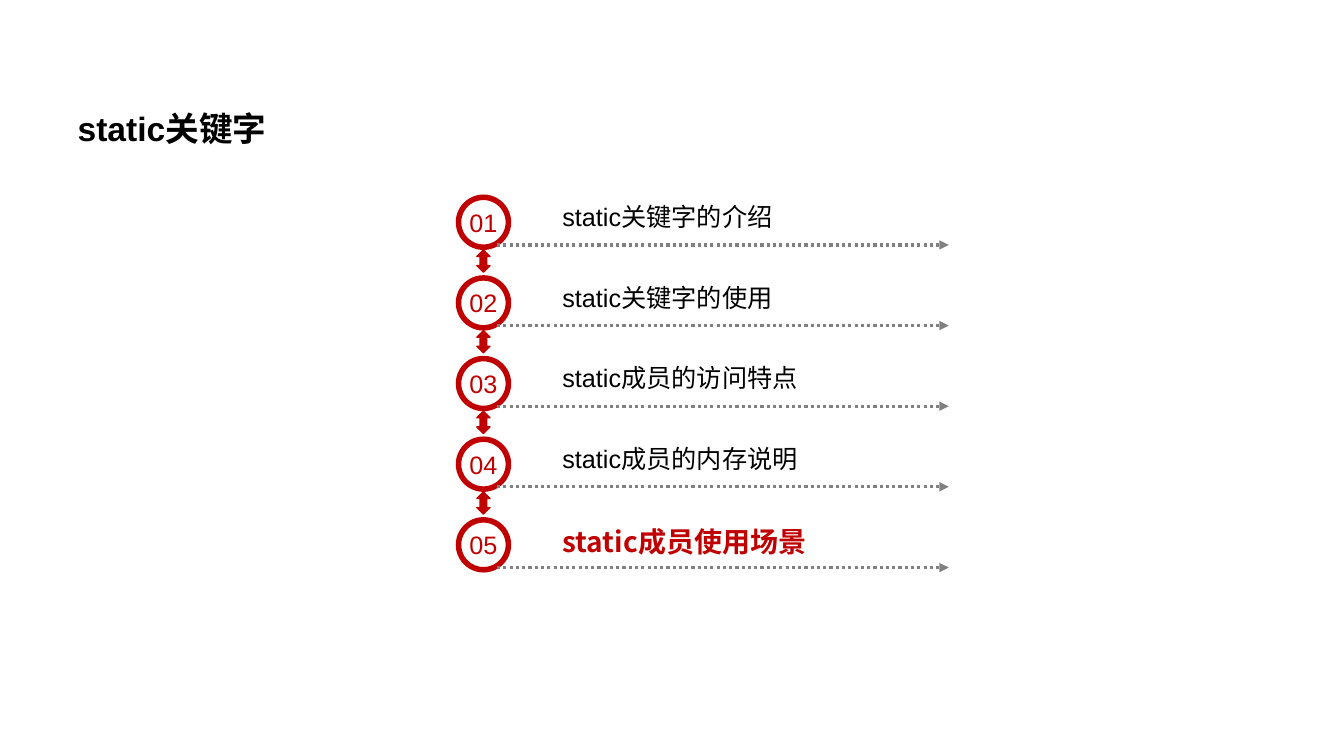
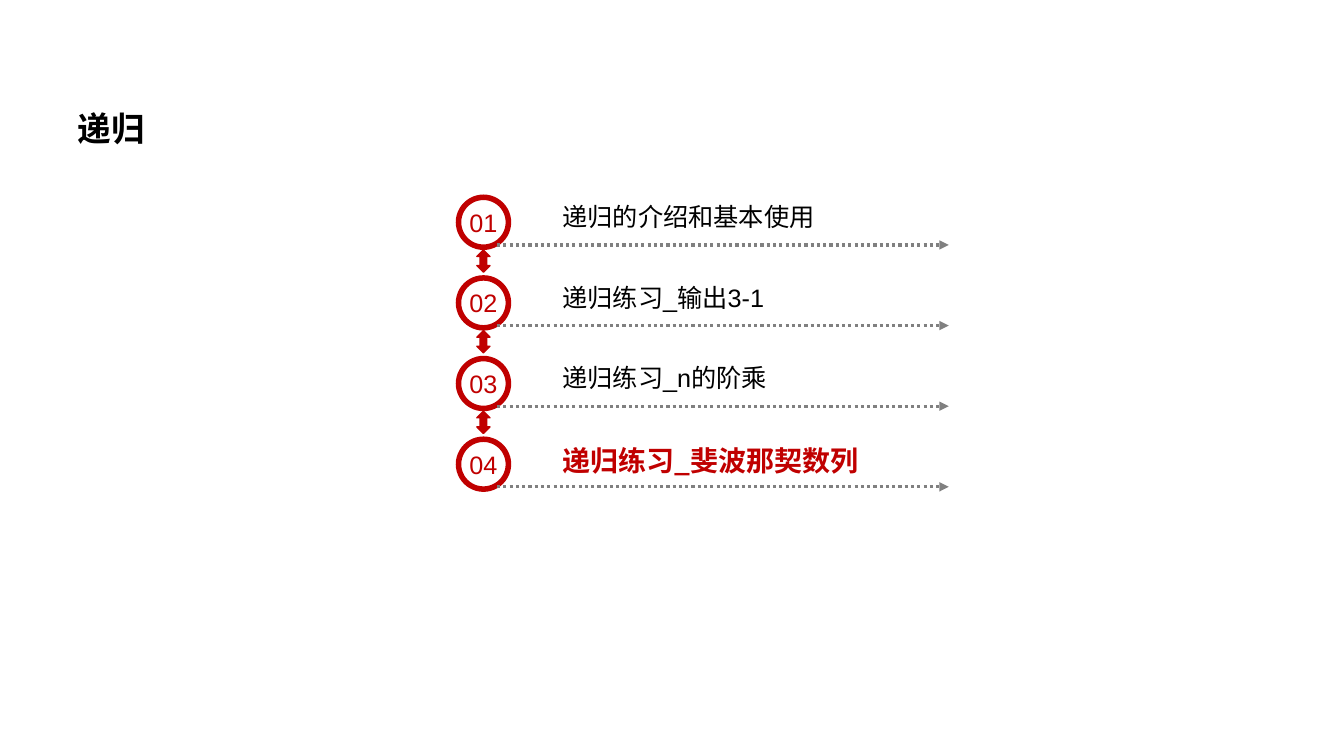
from pptx import Presentation
from pptx.dml.color import RGBColor
from pptx.enum.dml import MSO_LINE
from pptx.enum.shapes import MSO_CONNECTOR, MSO_SHAPE
from pptx.enum.text import MSO_ANCHOR, MSO_AUTO_SIZE, PP_ALIGN
from pptx.oxml.ns import qn
from pptx.util import Inches, Pt
from lxml import etree

DONUT, UP_DOWN_ARROW = MSO_SHAPE.DONUT, MSO_SHAPE.UP_DOWN_ARROW
STRAIGHT, DOTTED = MSO_CONNECTOR.STRAIGHT, MSO_LINE.ROUND_DOT
TOP, MIDDLE = MSO_ANCHOR.TOP, MSO_ANCHOR.MIDDLE
LEFT, CENTER = PP_ALIGN.LEFT, PP_ALIGN.CENTER
NO_AUTOFIT = MSO_AUTO_SIZE.NONE
TITLE_ONLY = 5

RED, BLACK, GRAY = "C00000", "000000", "808080"
LATIN_FONT, CHINESE_FONT = "Arial", "Noto Sans CJK SC"

# Agenda grid, in inches
FIRST_ROW, ROW_PITCH = 1.93, 0.8
RING_LEFT, RING_SIZE = 4.52, 0.55
RING_CENTER = RING_LEFT + RING_SIZE / 2
ARROW_WIDTH, ARROW_HEIGHT = 0.13, 0.22
RULE_LEFT, RULE_RIGHT, RULE_DROP = 4.93, 9.41, 0.5
LABEL_LEFT, LABEL_WIDTH, LABEL_HEIGHT, LABEL_DROP = 5.48, 3.96, 0.4, 0.02

# The last item of each agenda is the current one
AGENDAS = [
    ("static关键字", ["static关键字的介绍", "static关键字的使用", "static成员的访问特点",
                   "static成员的内存说明", "static成员使用场景"]),
    ("递归", ["递归的介绍和基本使用", "递归练习_输出3-1", "递归练习_n的阶乘",
            "递归练习_斐波那契数列"]),
]


def color(hex_string):
    return RGBColor.from_string(hex_string)


def write(shape, text, size, hex_string, bold=False, latin=LATIN_FONT, align=LEFT, anchor=TOP):
    """Fill a shape with one formatted paragraph and return that paragraph."""
    frame = shape.text_frame
    frame.text = text
    frame.auto_size = NO_AUTOFIT
    frame.vertical_anchor = anchor
    frame.word_wrap = True
    paragraph = frame.paragraphs[0]
    paragraph.alignment = align
    font = paragraph.font
    font.name, font.size, font.bold = latin, Pt(size), bold
    font.color.rgb = color(hex_string)
    properties = paragraph._p.pPr.find(qn("a:defRPr"))
    properties.find(qn("a:latin")).addnext(
        etree.Element(qn("a:ea"), typeface=CHINESE_FONT))
    return paragraph


presentation = Presentation()
presentation.slide_width, presentation.slide_height = Inches(13.33), Inches(7.5)

for title_text, items in AGENDAS:
    slide = presentation.slides.add_slide(presentation.slide_layouts[TITLE_ONLY])
    shapes = slide.shapes

    title = shapes.title
    title.left, title.top = Inches(0.67), Inches(0.82)
    title.width, title.height = Inches(11.74), Inches(0.63)
    write(title, title_text, 24, BLACK, bold=True).line_spacing = 1.5

    last = len(items) - 1
    for row, item in enumerate(items):
        row_top = FIRST_ROW + row * ROW_PITCH

        ring = shapes.add_shape(DONUT, Inches(RING_LEFT), Inches(row_top),
                                Inches(RING_SIZE), Inches(RING_SIZE))
        ring.adjustments[0] = 0.1
        ring.shadow.inherit = False
        ring.fill.solid()
        ring.fill.fore_color.rgb = color(RED)
        ring.line.fill.background()
        write(ring, f"{row + 1:02}", 18, RED, align=CENTER, anchor=MIDDLE)
        frame = ring.text_frame
        frame.word_wrap = False
        frame.margin_left = frame.margin_right = frame.margin_top = frame.margin_bottom = 0

        rule_y = Inches(row_top + RULE_DROP)
        rule = shapes.add_connector(STRAIGHT, Inches(RULE_LEFT), rule_y,
                                    Inches(RULE_RIGHT), rule_y)
        rule.line.color.rgb = color(GRAY)
        rule.line.width = Pt(2.25)
        rule.line.dash_style = DOTTED
        etree.SubElement(rule.line._get_or_add_ln(), qn("a:tailEnd"), type="triangle")
        etree.SubElement(rule._element.spPr, qn("a:effectLst"))

        label = shapes.add_textbox(Inches(LABEL_LEFT), Inches(row_top + LABEL_DROP),
                                   Inches(LABEL_WIDTH), Inches(LABEL_HEIGHT))
        if row == last:
            write(label, item, 20, RED, bold=True, latin=CHINESE_FONT)
        else:
            write(label, item, 18, BLACK)
            arrow = shapes.add_shape(
                UP_DOWN_ARROW, Inches(RING_CENTER - ARROW_WIDTH / 2),
                Inches(row_top + RING_SIZE), Inches(ARROW_WIDTH), Inches(ARROW_HEIGHT))
            arrow.shadow.inherit = False
            arrow.fill.solid()
            arrow.fill.fore_color.rgb = color(RED)
            arrow.line.color.rgb = color(RED)
            arrow.line.width = Pt(1)

presentation.save("out.pptx")
